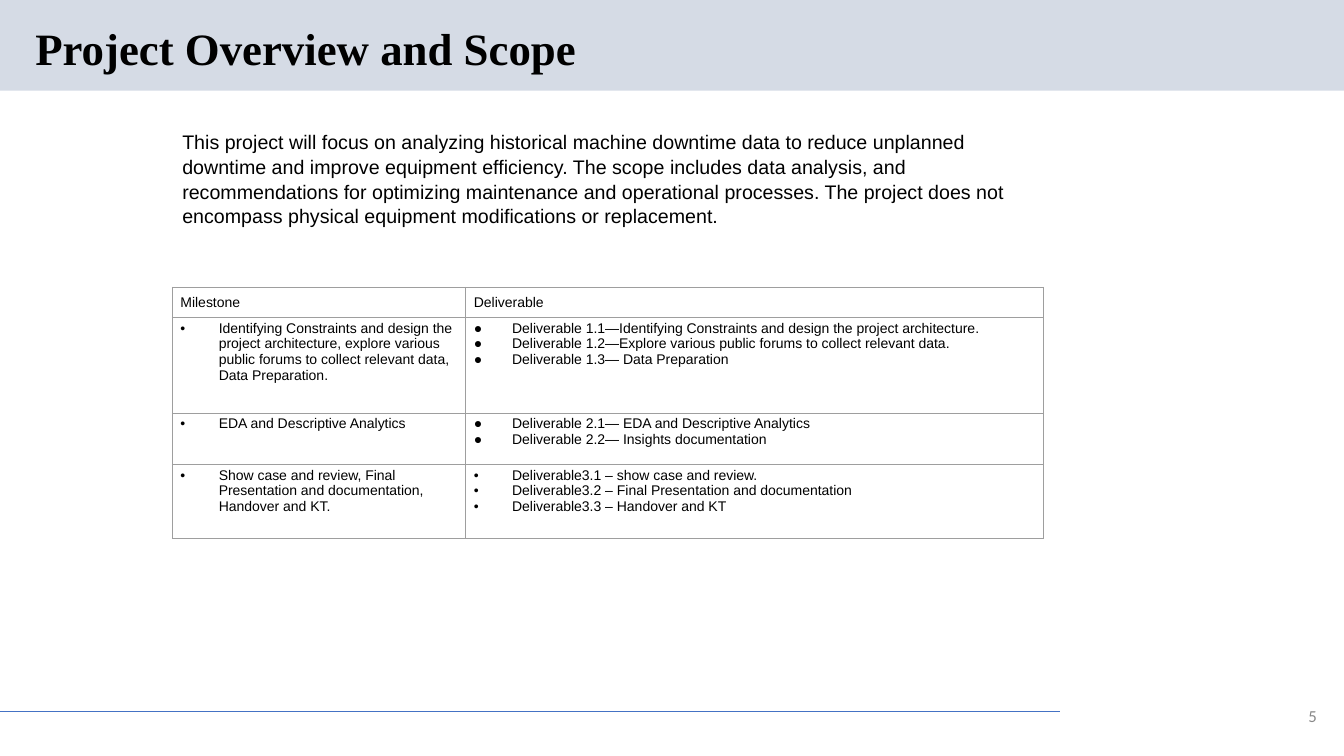
from dataclasses import dataclass

from lxml.etree import SubElement as sub
from pptx import Presentation
from pptx.dml.color import RGBColor
from pptx.enum.shapes import MSO_CONNECTOR as Link, MSO_SHAPE as Shape
from pptx.enum.text import MSO_ANCHOR as Anchor, PP_ALIGN as Align
from pptx.oxml.ns import qn
from pptx.util import Inches, Pt

BLACK = RGBColor(0x00, 0x00, 0x00)
BAND = RGBColor(0xD5, 0xDB, 0xE5)
BLUE = RGBColor(0x44, 0x72, 0xC4)
GRAY = RGBColor(0x88, 0x88, 0x88)
GRID = RGBColor(0x9E, 0x9E, 0x9E)

DOT, DISC = "•", "●"
COLS = (2.91, 5.73)
INTRO = (
    "This project will focus on analyzing historical machine downtime data to reduce "
    "unplanned downtime and improve equipment efficiency. The scope includes data "
    "analysis, and recommendations for optimizing maintenance and operational "
    "processes. The project does not encompass physical equipment modifications or "
    "replacement."
)


@dataclass
class Entry:
    lines: list[str]
    mark: str = ""


@dataclass
class Row:
    high: float
    goal: Entry
    work: Entry


ROWS = [
    Row(0.3, Entry(["Milestone"]), Entry(["Deliverable"])),
    Row(0.95,
        Entry(["Identifying Constraints and design the project architecture, explore "
               "various public forums to collect relevant data, Data Preparation."], DOT),
        Entry(["Deliverable 1.1—Identifying Constraints and design the project architecture.",
               "Deliverable 1.2—Explore various public forums to collect relevant data.",
               "Deliverable 1.3— Data Preparation"], DISC)),
    Row(0.51,
        Entry(["EDA and Descriptive Analytics"], DOT),
        Entry(["Deliverable 2.1— EDA and Descriptive Analytics",
               "Deliverable 2.2— Insights documentation"], DISC)),
    Row(0.73,
        Entry(["Show case and review, Final Presentation and documentation, "
               "Handover and KT."], DOT),
        Entry(["Deliverable3.1 – show case and review.",
               "Deliverable3.2 – Final Presentation and documentation",
               "Deliverable3.3 – Handover and KT"], DOT)),
]


def place(shape, left: float, top: float, wide: float, high: float) -> None:
    shape.left, shape.top = Inches(left), Inches(top)
    shape.width, shape.height = Inches(wide), Inches(high)


def write(frame, *lines: str, size: float, font: str = "Arial",
          color: RGBColor = BLACK, bold: bool = False, align: Align = Align.LEFT,
          space: float = 1.0, mark: str = "") -> None:
    frame.word_wrap = True
    for i, line in enumerate(lines):
        para = frame.add_paragraph() if i else frame.paragraphs[0]
        para.alignment, para.line_spacing = align, space
        run = para.add_run()
        run.text = line
        run.font.name, run.font.size = font, Pt(size)
        run.font.bold, run.font.color.rgb = bold, color
        if mark:
            bullet(para, mark)


def bullet(para, mark: str) -> None:
    props = para._p.get_or_add_pPr()
    props.set("marL", str(Inches(0.38)))
    props.set("indent", str(-Inches(0.38)))
    tint = sub(props, qn("a:buClr"))
    sub(tint, qn("a:srgbClr"), val=str(BLACK))
    sub(props, qn("a:buFont"), typeface="Arial")
    sub(props, qn("a:buChar"), char=mark)


def border(cell) -> None:
    props = cell._tc.get_or_add_tcPr()
    for side in ("a:lnL", "a:lnR", "a:lnT", "a:lnB"):
        edge = sub(props, qn(side), w=str(Pt(0.75)))
        fill = sub(edge, qn("a:solidFill"))
        sub(fill, qn("a:srgbClr"), val=str(GRID))


def fill_cell(cell, entry: Entry) -> None:
    cell.margin_left = cell.margin_right = Inches(0.08)
    cell.margin_top = cell.margin_bottom = Inches(0.03)
    cell.vertical_anchor = Anchor.TOP if entry.mark else Anchor.MIDDLE
    write(cell.text_frame, *entry.lines, size=10, mark=entry.mark)
    border(cell)
    cell.fill.background()


def add_grid(slide) -> None:
    frame = slide.shapes.add_table(
        len(ROWS), len(COLS), Inches(1.71), Inches(2.85),
        Inches(sum(COLS)), Inches(sum(row.high for row in ROWS)))
    table = frame.table
    table.first_row = table.horz_banding = False
    for col, wide in zip(table.columns, COLS):
        col.width = Inches(wide)
    for i, row in enumerate(ROWS):
        table.rows[i].height = Inches(row.high)
        for j, entry in enumerate((row.goal, row.work)):
            fill_cell(table.cell(i, j), entry)


def main() -> None:
    deck = Presentation()
    deck.slide_width, deck.slide_height = Inches(13.33), Inches(7.5)
    slide = deck.slides.add_slide(deck.slide_layouts[5])
    shapes = slide.shapes

    # Header band and footer rule
    band = shapes.add_shape(Shape.RECTANGLE, 0, 0, deck.slide_width, Inches(0.9))
    band.shadow.inherit = False
    band.fill.solid()
    band.fill.fore_color.rgb = BAND
    band.line.fill.background()
    rule = shapes.add_connector(Link.STRAIGHT, 0, Inches(7.06), Inches(10.51), Inches(7.06))
    rule.line.color.rgb, rule.line.width = BLUE, Pt(0.75)
    sub(rule.element.spPr, qn("a:effectLst"))

    # Title, lifted above the band
    title = shapes.title
    title.element.getparent().append(title.element)
    place(title, 0.25, 0.21, 11.5, 0.59)
    title.text_frame.vertical_anchor = Anchor.MIDDLE
    write(title.text_frame, "Project Overview and Scope", size=32,
          font="Times New Roman", bold=True, space=0.9)

    # Page number
    page = shapes.add_textbox(0, 0, 0, 0)
    place(page, 12.73, 6.94, 0.43, 0.32)
    page.text_frame.vertical_anchor = Anchor.MIDDLE
    write(page.text_frame, "5", size=12, font="Calibri", color=GRAY, align=Align.RIGHT)

    # Scope text and milestones
    intro = shapes.add_textbox(0, 0, 0, 0)
    place(intro, 1.71, 1.23, 8.64, 1.04)
    write(intro.text_frame, INTRO, size=14, space=1.05)
    add_grid(slide)

    deck.save("out.pptx")


if __name__ == "__main__":
    main()
